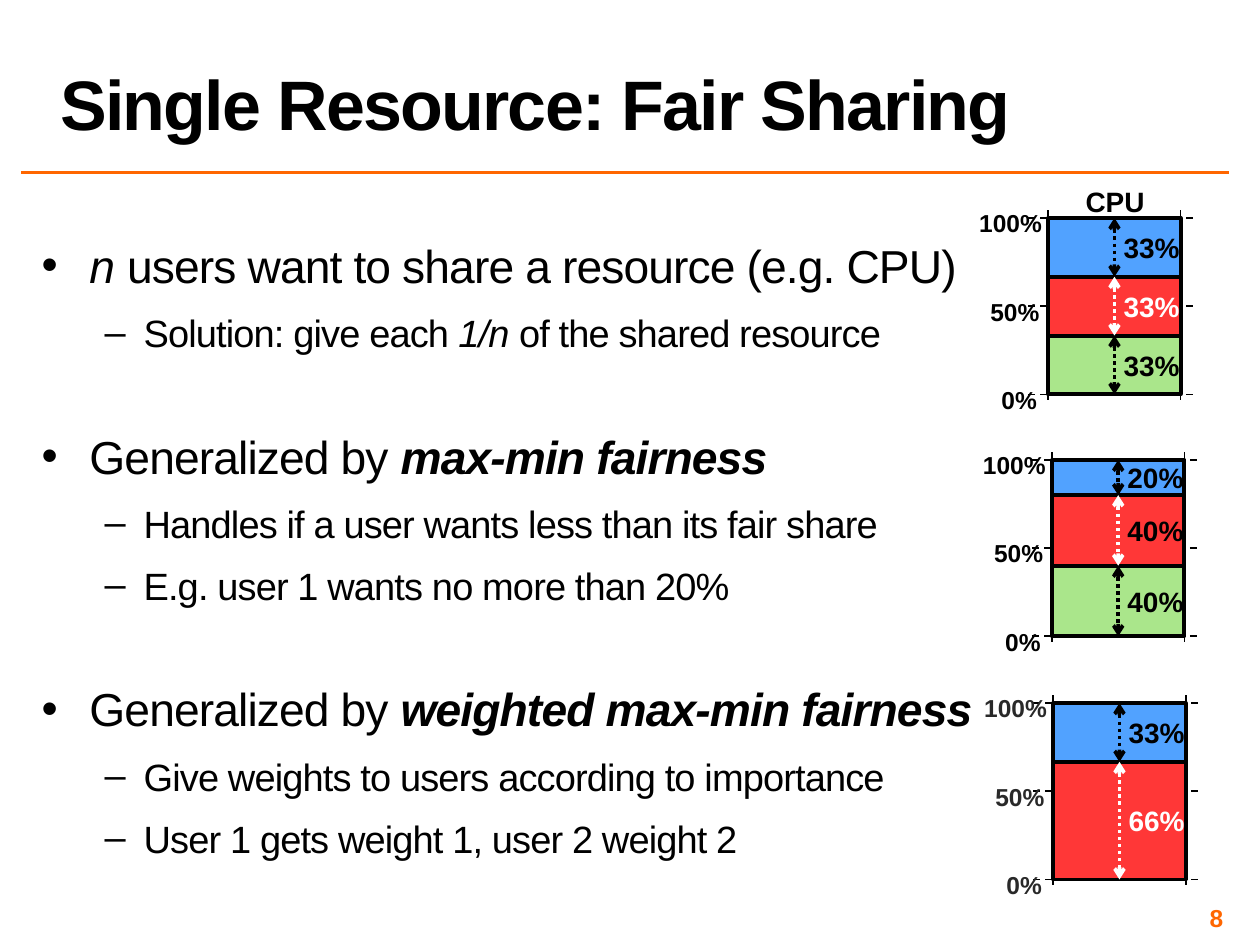
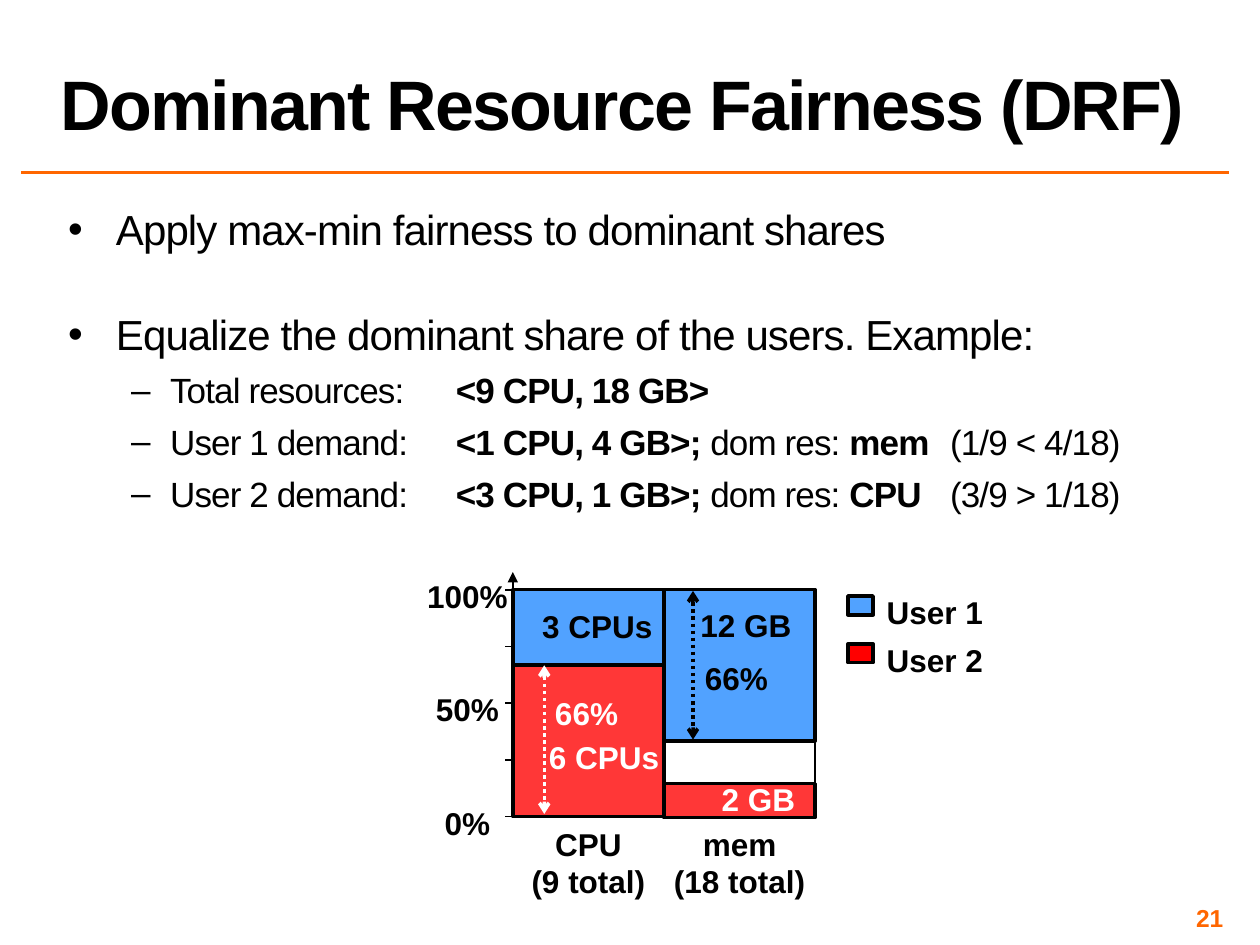
from pptx import Presentation
from pptx.util import Emu, Inches, Pt
from pptx.dml.color import RGBColor
from pptx.enum.dml import MSO_LINE
from pptx.enum.shapes import MSO_CONNECTOR, MSO_SHAPE
from pptx.enum.text import MSO_ANCHOR, MSO_AUTO_SIZE, PP_ALIGN
from pptx.oxml.ns import qn
from lxml import etree

STRAIGHT = MSO_CONNECTOR.STRAIGHT
RECT = MSO_SHAPE.RECTANGLE
DASH, DOTS = MSO_LINE.DASH, MSO_LINE.ROUND_DOT
LEFT, CENTER, RIGHT = PP_ALIGN.LEFT, PP_ALIGN.CENTER, PP_ALIGN.RIGHT
TOP, MIDDLE, BOTTOM = MSO_ANCHOR.TOP, MSO_ANCHOR.MIDDLE, MSO_ANCHOR.BOTTOM
NO_FIT = MSO_AUTO_SIZE.NONE

SLIDE_W, SLIDE_H = Inches(10), Inches(7.5)
CELL = SLIDE_W // 100
FONT = "Arial"
COLORS = {
    "ink": "000000", "paper": "FFFFFF", "accent": "FF6600", "axis": "292929",
    "blue": "51A2FF", "red": "FF3737", "green": "AAE68B", "key_red": "FF0000",
    "grid": "808080",
}
BULLETS = {0: ("•", 0.38, -0.38), 1: ("–", 0.81, -0.31)}

FAIR_STYLE = {"size": (26.4, 21.7), "line": (0.8, 0.75), "before": (40, 8), "after": 8}
FAIR_POINTS = [
    (0, [("n ", "i"), ("users want to share a resource (e.g. CPU)", "")]),
    (1, [("Solution: give each ", ""), ("1/n ", "i"), ("of the shared resource", "")]),
    (0, [("Generalized by ", ""), ("max-min fairness", "bi")]),
    (1, [("Handles if a user wants less than its fair share", "")]),
    (1, [("E.g. user 1 wants no more than 20%", "")]),
    (0, [("Generalized by ", ""), ("weighted max-min fairness", "bi")]),
    (1, [("Give weights to users according to importance", "")]),
    (1, [("User 1 gets weight 1, user 2 weight 2", "")]),
]
DRF_STYLE = {"size": (24, 20), "line": (0.9, 0.9), "before": (30, 4), "after": 4}
DRF_POINTS = [
    (0, [("Apply max-min fairness to dominant shares", "")]),
    (0, [("Equalize the dominant share of the users. Example:", "")]),
    (1, [("Total resources:\t ", ""), ("<9 CPU, 18 GB>", "b")]),
    (1, [("User 1 demand:\t ", ""), ("<1 CPU, 4 GB>; ", "b"), ("dom res: ", ""),
         ("mem", "b"), ("\t(1/9 < 4/18)", "")]),
    (1, [("User 2 demand:\t ", ""), ("<3 CPU, 1 GB>; ", "b"), ("dom res: ", ""),
         ("CPU", "b"), ("\t(3/9 > 1/18)", "")]),
]
SHARE_COLUMNS = [
    (83.2, 17.3, "ink", [(1 / 3, "33%", "blue", "ink"), (1 / 3, "33%", "red", "paper"),
                         (1 / 3, "33%", "green", "ink")]),
    (83.5, 36.5, "ink", [(0.2, "20%", "blue", "ink"), (0.4, "40%", "red", "ink"),
                         (0.4, "40%", "green", "ink")]),
    (83.6, 55.8, "axis", [(1 / 3, "33%", "blue", "ink"), (2 / 3, "66%", "red", "paper")]),
]


def cells(n):
    return Emu(int(n * CELL))


def color(name):
    return RGBColor.from_string(COLORS[name])


def add_run(p, text, size, ink="ink", style="", spacing=0):
    r = p.add_run()
    r.text = text
    r.font.name, r.font.size = FONT, Pt(size)
    r.font.bold, r.font.italic = "b" in style, "i" in style
    r.font.color.rgb = color(ink)
    if spacing:
        r._r.get_or_add_rPr().set("spc", str(spacing))


def set_frame(tf, anchor, inset_x=0, inset_y=0):
    tf.word_wrap, tf.auto_size, tf.vertical_anchor = True, NO_FIT, anchor
    tf.margin_left = tf.margin_right = cells(inset_x)
    tf.margin_top = tf.margin_bottom = cells(inset_y)


def place(sp, left, top, width, height):
    sp.left, sp.top, sp.width, sp.height = map(cells, (left, top, width, height))


def add_label(s, text, cx, cy, size, ink="ink", align=CENTER, width=14):
    left = {LEFT: cx, CENTER: cx - width / 2, RIGHT: cx - width}[align]
    height = 4 * (text.count("\n") + 1)
    sp = s.shapes.add_textbox(*map(cells, (left, cy - height / 2, width, height)))
    tf = sp.text_frame
    set_frame(tf, MIDDLE)
    for i, line in enumerate(text.split("\n")):
        p = tf.add_paragraph() if i else tf.paragraphs[0]
        p.alignment = align
        add_run(p, line, size, ink, "b")


def add_rect(s, left, top, width, height, fill, weight=2):
    sp = s.shapes.add_shape(RECT, *map(cells, (left, top, width, height)))
    sp.shadow.inherit = False
    sp.fill.solid()
    sp.fill.fore_color.rgb = color(fill)
    sp.line.color.rgb = color("ink")
    sp.line.width = Pt(weight)
    return sp


def add_line(s, x1, y1, x2, y2, ink="ink", weight=1, dash=None, head=None, tail=None):
    cxn = s.shapes.add_connector(STRAIGHT, *map(cells, (x1, y1, x2, y2)))
    cxn.line.color.rgb = color(ink)
    cxn.line.width = Pt(weight)
    if dash:
        cxn.line.dash_style = dash
    ln = cxn.line._get_or_add_ln()
    for tag, kind in (("a:headEnd", head), ("a:tailEnd", tail)):
        if kind:
            etree.SubElement(ln, qn(tag)).set("type", kind)
    etree.SubElement(cxn._element.spPr, qn("a:effectLst"))
    return cxn


def add_span(s, x, top, bottom, ink):
    return add_line(s, x, top, x, bottom, ink, 2, DOTS, "arrow", "arrow")


def add_body(s, points, style, box):
    sp = s.placeholders[1]
    place(sp, *box)
    tf = sp.text_frame
    set_frame(tf, TOP, 0.4, 0.4)
    for i, (level, runs) in enumerate(points):
        p = tf.add_paragraph() if i else tf.paragraphs[0]
        p.level = level
        char, margin, indent = BULLETS[level]
        pPr = p._p.get_or_add_pPr()
        pPr.set("marL", str(Inches(margin)))
        pPr.set("indent", str(Inches(indent)))
        etree.SubElement(pPr, qn("a:buChar")).set("char", char)
        p.alignment = LEFT
        p.line_spacing = style["line"][level]
        p.space_before = Pt(style["before"][level] if i else 0)
        p.space_after = Pt(style["after"])
        for text, face in runs:
            add_run(p, text, style["size"][level], "ink", face, -50)


def add_page(prs, title, number):
    s = prs.slides.add_slide(prs.slide_layouts[1])
    place(s.shapes.title, 3.8, 0.2, 93.7, 11.7)
    tf = s.shapes.title.text_frame
    set_frame(tf, BOTTOM, 1, 0.5)
    p = tf.paragraphs[0]
    p.alignment, p.line_spacing = LEFT, 0.8
    add_run(p, title, 40, "ink", "b", -100)
    add_line(s, 1.7, 13.7, 97.5, 13.7, "accent", 2)
    add_label(s, number, 97.1, 72.85, 14, "accent", RIGHT)
    return s


def add_share_column(s, left, top, axis_ink, segments):
    width, height = 10.5, 14
    for i, tick in enumerate(("100%", "50%", "0%")):
        y = top + height * i / 2
        add_line(s, left - 1.6, y, left + width + 1.2, y, dash=DASH)
        add_label(s, tick, left - 0.5 - 0.2 * i, y + 0.4, 14, axis_ink, RIGHT, 6)
    for x in (left, left + width):
        add_line(s, x, top - 0.6, x, top + height + 0.7, dash=DASH)
    bars, y = [], top
    for share, text, fill, ink in segments:
        bars.append(add_rect(s, left, y, width, share * height, fill, 2.25))
        y += share * height
    y = top
    for i, (bar, (share, text, fill, ink)) in enumerate(zip(bars, segments)):
        bottom = y + share * height
        arrow = add_span(s, left + width / 2, y, bottom, "paper" if i == 1 else "ink")
        arrow.begin_connect(bar, 0)
        arrow.end_connect(bar, 2)
        add_label(s, text, left + 8.2, (y + bottom) / 2, 16, ink, width=7)
        y = bottom


def add_resource_chart(s, left, top):
    width, height = 12, 18
    mem, base = left + width, top + height
    third = height / 3
    add_line(s, left, top + height / 2, mem + width, top + height / 2, "grid", dash=DASH)
    add_rect(s, mem, top, width, height, "paper", 1)
    add_rect(s, left, top + third, width, 2 * third, "red")
    add_rect(s, mem, base - 2.6, width, 2.7, "red")
    add_rect(s, left, top, width, third, "blue")
    add_rect(s, mem, top, width, 2 * third, "blue")

    add_line(s, left, base, left, top - 1.4, tail="triangle")
    for i in range(5):
        y = top + height * i / 4
        add_line(s, left, y, left - 0.6, y)
    for i, tick in enumerate(("100%", "50%", "0%")):
        add_label(s, tick, left - 3.6, top + height * i / 2 + 0.5, 18, width=8)
    for i, name in enumerate(("CPU\n(9 total)", "mem\n(18 total)")):
        add_label(s, name, left + width * (i + 0.5), base + 3.65, 18)
    for i, fill in enumerate(("blue", "key_red")):
        y = top + 0.5 + 3.8 * i
        add_rect(s, mem + width + 2.6, y, 2, 1.5, fill)
        add_label(s, f"User {i + 1}", mem + width + 9.5, y + 1.3, 18)

    for text, x, y, ink in (
        ("3 CPUs", 6.7, 2.9, "ink"), ("12 GB", 18.5, 2.8, "ink"),
        ("6 CPUs", 7.25, 13.3, "paper"), ("2 GB", 19.5, 16.6, "paper"),
        ("66%", 5.85, 9.8, "paper"), ("66%", 17.75, 7, "ink"),
    ):
        add_label(s, text, left + x, top + y, 18, ink)
    add_span(s, left + 2.5, top + third, base - 0.2, "paper")
    add_span(s, mem + 2.3, top + 0.1, top + 2 * third - 0.1, "ink")


def main():
    prs = Presentation()
    prs.slide_width, prs.slide_height = SLIDE_W, SLIDE_H

    s = add_page(prs, "Single Resource: Fair Sharing", "8")
    add_body(s, FAIR_POINTS, FAIR_STYLE, (2.9, 19.3, 79.3, 55))
    for column in SHARE_COLUMNS:
        add_share_column(s, *column)
    add_label(s, "CPU", 88.5, 15.95, 16)

    s = add_page(prs, "Dominant Resource Fairness (DRF)", "21")
    add_body(s, DRF_POINTS, DRF_STYLE, (5, 16.2, 90, 27.1))
    add_resource_chart(s, 40.7, 46.8)

    prs.save("out.pptx")


if __name__ == "__main__":
    main()
